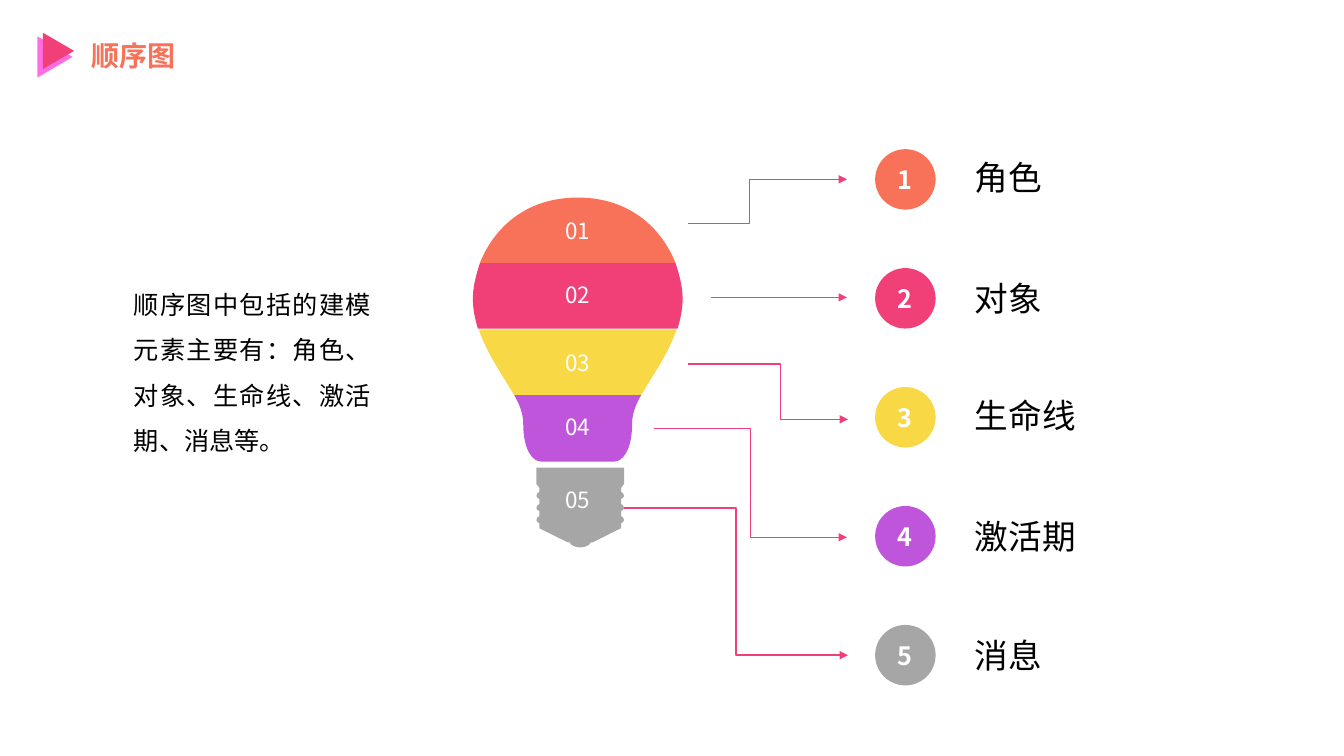
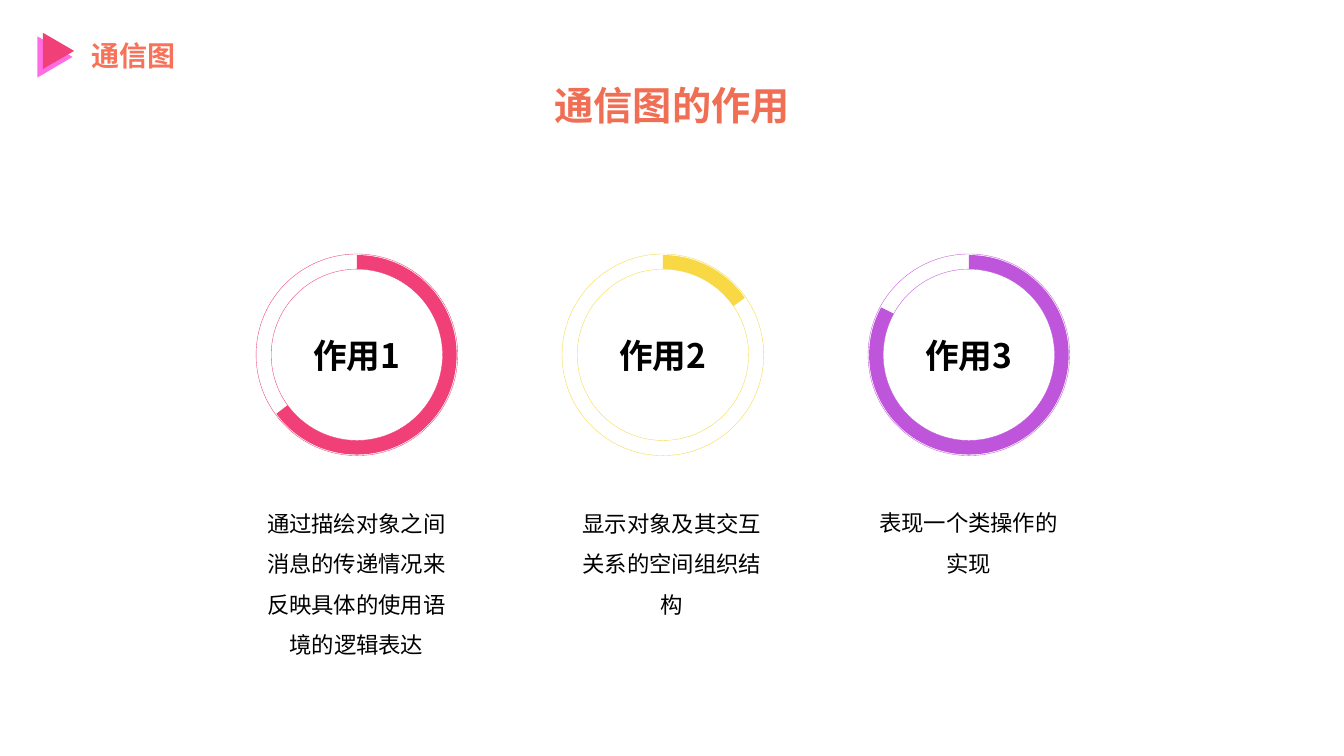
from lxml import etree
from pptx import Presentation
from pptx.dml.color import RGBColor
from pptx.enum.shapes import MSO_CONNECTOR, MSO_SHAPE
from pptx.enum.text import MSO_ANCHOR, MSO_AUTO_SIZE, PP_ALIGN
from pptx.oxml.ns import qn
from pptx.util import Inches, Pt

STRAIGHT, ELBOW = MSO_CONNECTOR.STRAIGHT, MSO_CONNECTOR.ELBOW
OVAL, ARC, RECTANGLE = MSO_SHAPE.OVAL, MSO_SHAPE.ARC, MSO_SHAPE.RECTANGLE
TRIANGLE = MSO_SHAPE.ISOSCELES_TRIANGLE
LEFT, CENTER, JUSTIFY = PP_ALIGN.LEFT, PP_ALIGN.CENTER, PP_ALIGN.JUSTIFY
TOP, MIDDLE = MSO_ANCHOR.TOP, MSO_ANCHOR.MIDDLE
FIXED, GROW = MSO_AUTO_SIZE.NONE, MSO_AUTO_SIZE.SHAPE_TO_FIT_TEXT

FONT = "Noto Sans CJK SC"
BLACK, WHITE = "000000", "FFFFFF"
ORANGE, PINK, YELLOW, PURPLE, GREY = "F77258", "F04077", "F8D845", "BF55DB", "A6A6A6"
MAGENTA, HEADING_ORANGE = "FF6CE4", "F06E54"

TITLE_AREA = (0.81, 0.33, 2.22, 0.44)
TITLE_MARKS = [((0.34, 0.39, 0.41, 0.35), MAGENTA), ((0.40, 0.35, 0.36, 0.31), PINK)]

SEQUENCE_TITLE = "顺序图"
SEQUENCE_INTRO = "顺序图中包括的建模元素主要有：角色、对象、生命线、激活期、消息等。"
# label, its top, colour, top of the number in the bulb,
# arrow start, arrow end, arrow bend (share of width)
ELEMENTS = [
    ("角色", 1.51, ORANGE, 2.15, (6.82, 2.22), (8.40, 1.78), 0.39),
    ("对象", 2.71, PINK, 2.79, (7.05, 2.95), (8.40, 2.95), None),
    ("生命线", 3.87, YELLOW, 3.46, (6.82, 3.61), (8.41, 4.16), 0.58),
    ("激活期", 5.07, PURPLE, 4.10, (6.49, 4.25), (8.40, 5.33), 0.5),
    ("消息", 6.25, GREY, 4.82, (6.19, 5.04), (8.41, 6.50), 0.5),
]
BADGE_LEFT, BADGE_TOP, BADGE_SIZE, BADGE_PITCH = 8.68, 1.48, 0.6, 1.18

# Right edges from top to bottom: two numbers are a line, six a Bezier curve
BULB_AXIS, SCREW_AXIS = 5.73, (5.32 + 6.19) / 2
SCREW_RIDGES = [
    step for y in (4.88, 5.00, 5.12)
    for step in ((6.16, y), (6.17, y, 6.19, y + 0.02, 6.19, y + 0.04),
                 (6.19, y + 0.05, 6.17, y + 0.07, 6.16, y + 0.07))
]
BULB_PARTS = [
    (BULB_AXIS, [(5.73, 1.96), (6.26, 1.96, 6.57, 2.28, 6.70, 2.61)]),
    (BULB_AXIS, [(6.70, 2.61), (6.74, 2.73, 6.77, 2.85, 6.77, 2.96),
                 (6.77, 3.07, 6.75, 3.16, 6.72, 3.26)]),
    (BULB_AXIS, [(6.71, 3.27), (6.63, 3.51, 6.47, 3.73, 6.36, 3.92)]),
    (BULB_AXIS, [(6.36, 3.92), (6.30, 4.02, 6.27, 4.12, 6.27, 4.20),
                 (6.27, 4.48, 6.17, 4.58, 6.09, 4.58)]),
    (SCREW_AXIS, [(6.19, 4.64), (6.19, 4.80), (6.16, 4.84), *SCREW_RIDGES,
                  (6.16, 5.24), (5.88, 5.38), (5.86, 5.38),
                  (5.85, 5.41, 5.80, 5.43, 5.76, 5.43)]),
]

COMMUNICATION_TITLE = "通信图"
COMMUNICATION_HEADING = "通信图的作用"
# label, colour, angle where the arc ends, caption area, caption
ROLES = [
    ("作用1", PINK, 143.85, (2.56, 4.93, 1.95, 1.57),
     "通过描绘对象之间消息的传递情况来反映具体的使用语境的逻辑表达"),
    ("作用2", YELLOW, 325.29, (5.69, 4.93, 1.95, 1.16), "显示对象及其交互关系的空间组织结构"),
    ("作用3", PURPLE, 208.52, (8.63, 4.92, 1.95, 0.81), "表现一个类操作的实现"),
]
RING_LEFT, RING_TOP, RING_SIZE = 2.54, 2.52, 2
RING_PITCH = (8.61 - RING_LEFT) / 2
ARC_INSET, INNER_INSET = 0.08, 0.15
ARC_START = 270


def rgb(color):
    return RGBColor.from_string(color)


def inches(*lengths):
    return [Inches(length) for length in lengths]


def write(shape, text, size, color=BLACK, bold=False, align=LEFT, anchor=TOP,
          spacing=None, wrap=True, padded=True, fit=GROW):
    frame = shape.text_frame
    frame.auto_size = fit
    frame.word_wrap = wrap
    frame.vertical_anchor = anchor
    if not padded:
        frame.margin_left = frame.margin_right = frame.margin_top = frame.margin_bottom = 0
    paragraph = frame.paragraphs[0]
    paragraph.alignment = align
    if spacing:
        paragraph.line_spacing = spacing
    run = paragraph.add_run()
    run.text = text
    run.font.size, run.font.bold, run.font.name = Pt(size), bold, FONT
    run.font.color.rgb = rgb(color)
    east_asian = etree.SubElement(run.font._element, qn("a:ea"))
    east_asian.set("typeface", FONT)


def add_text(slide, area, text, size, **style):
    write(slide.shapes.add_textbox(*inches(*area)), text, size, **style)


def paint(shape, fill=None, line=None, width=0.25):
    shape.shadow.inherit = False
    if fill:
        shape.fill.solid()
        shape.fill.fore_color.rgb = rgb(fill)
    else:
        shape.fill.background()
    if line:
        shape.line.color.rgb = rgb(line)
        shape.line.width = Pt(width)
    else:
        shape.line.fill.background()


def add_preset(slide, kind, area, **look):
    shape = slide.shapes.add_shape(kind, *inches(*area))
    paint(shape, **look)
    return shape


def add_titled_slide(deck, title):
    slide = deck.slides.add_slide(deck.slide_layouts[5])
    heading = slide.shapes.title
    heading.left, heading.top, heading.width, heading.height = inches(*TITLE_AREA)
    write(heading, title, 20, color=ORANGE, bold=True)
    for area, color in TITLE_MARKS:
        add_preset(slide, TRIANGLE, area, fill=color).rotation = 90
    return slide


def add_symmetric_part(slide, axis, right_edge, color):
    """Draw an edge and its mirror image, with six-number steps as curves."""
    right = [step[i:i + 2] for step in right_edge for i in range(0, len(step), 2)]
    left = [(2 * axis - x, y) for x, y in reversed(right)]
    start, *rest = [inches(*point) for point in right + left]
    builder = slide.shapes.build_freeform(*start)
    builder.add_line_segments(rest, close=True)
    part = builder.convert_to_shape()
    paint(part, fill=color)

    step_sizes = [len(step) // 2 for step in right_edge[1:]]
    segments = iter(list(part._element.iter(qn("a:lnTo"))))
    for size in step_sizes + [1] + step_sizes[::-1]:
        group = [next(segments) for _ in range(size)]
        if size == 3:
            curve = etree.Element(qn("a:cubicBezTo"))
            group[0].addprevious(curve)
            for segment in group:
                curve.append(segment[0])
                segment.getparent().remove(segment)


def add_arrow(slide, start, end, bend):
    kind = STRAIGHT if bend is None else ELBOW
    arrow = slide.shapes.add_connector(kind, *inches(*start, *end))
    arrow.line.color.rgb = rgb(PINK)
    arrow.line.width = Pt(1)
    properties = arrow._element.spPr
    etree.SubElement(properties.find(qn("a:ln")), qn("a:tailEnd")).set("type", "triangle")
    etree.SubElement(properties, qn("a:effectLst"))
    if bend is not None:
        guides = properties.find(qn("a:prstGeom")).find(qn("a:avLst"))
        guide = etree.SubElement(guides, qn("a:gd"))
        guide.set("name", "adj1")
        guide.set("fmla", f"val {round(bend * 100000)}")


def build_sequence_slide(deck):
    slide = add_titled_slide(deck, SEQUENCE_TITLE)
    add_text(slide, (1.23, 2.67, 2.55, 1.92), SEQUENCE_INTRO, 18, align=JUSTIFY, spacing=1.5)
    for i, (element, part) in enumerate(zip(ELEMENTS, BULB_PARTS)):
        label, label_top, color, number_top, arrow_start, arrow_end, bend = element
        add_symmetric_part(slide, *part, color)
        number = add_preset(slide, RECTANGLE, (5.6, number_top, 0.26, 0.27), fill=color)
        write(number, f"{i + 1:02}", 16, color=WHITE, align=CENTER, wrap=False, padded=False)
        badge_area = (BADGE_LEFT, BADGE_TOP + i * BADGE_PITCH, BADGE_SIZE, BADGE_SIZE)
        badge = add_preset(slide, OVAL, badge_area, fill=color)
        write(badge, str(i + 1), 18, color=WHITE, bold=True, align=CENTER,
              anchor=MIDDLE, fit=FIXED)
        add_arrow(slide, arrow_start, arrow_end, bend)
        add_text(slide, (9.57, label_top, 3.76, 0.5), label, 24)


def build_communication_slide(deck):
    slide = add_titled_slide(deck, COMMUNICATION_TITLE)
    add_text(slide, (4.71, 0.76, 3.91, 0.57), COMMUNICATION_HEADING, 28,
             color=HEADING_ORANGE, bold=True, align=CENTER)
    for i, (label, color, arc_end, caption_area, caption) in enumerate(ROLES):
        left = RING_LEFT + i * RING_PITCH

        def add_ring(kind, inset, width=0.25):
            size = RING_SIZE - 2 * inset
            return add_preset(slide, kind, (left + inset, RING_TOP + inset, size, size),
                              line=color, width=width)

        add_ring(OVAL, 0)
        write(add_ring(OVAL, INNER_INSET), label, 24, bold=True, align=CENTER,
              anchor=MIDDLE, fit=FIXED)
        arc = add_ring(ARC, ARC_INSET, width=10)
        for side, angle in enumerate((ARC_START, arc_end)):
            arc.adjustments[side] = angle * 0.6  # 60000 units a degree, 100000 a whole
        add_text(slide, caption_area, caption, 16, align=CENTER, spacing=1.5, padded=False)


def main():
    deck = Presentation()
    deck.slide_width, deck.slide_height = inches(13.33, 7.5)
    build_sequence_slide(deck)
    build_communication_slide(deck)
    deck.save("out.pptx")


if __name__ == "__main__":
    main()
